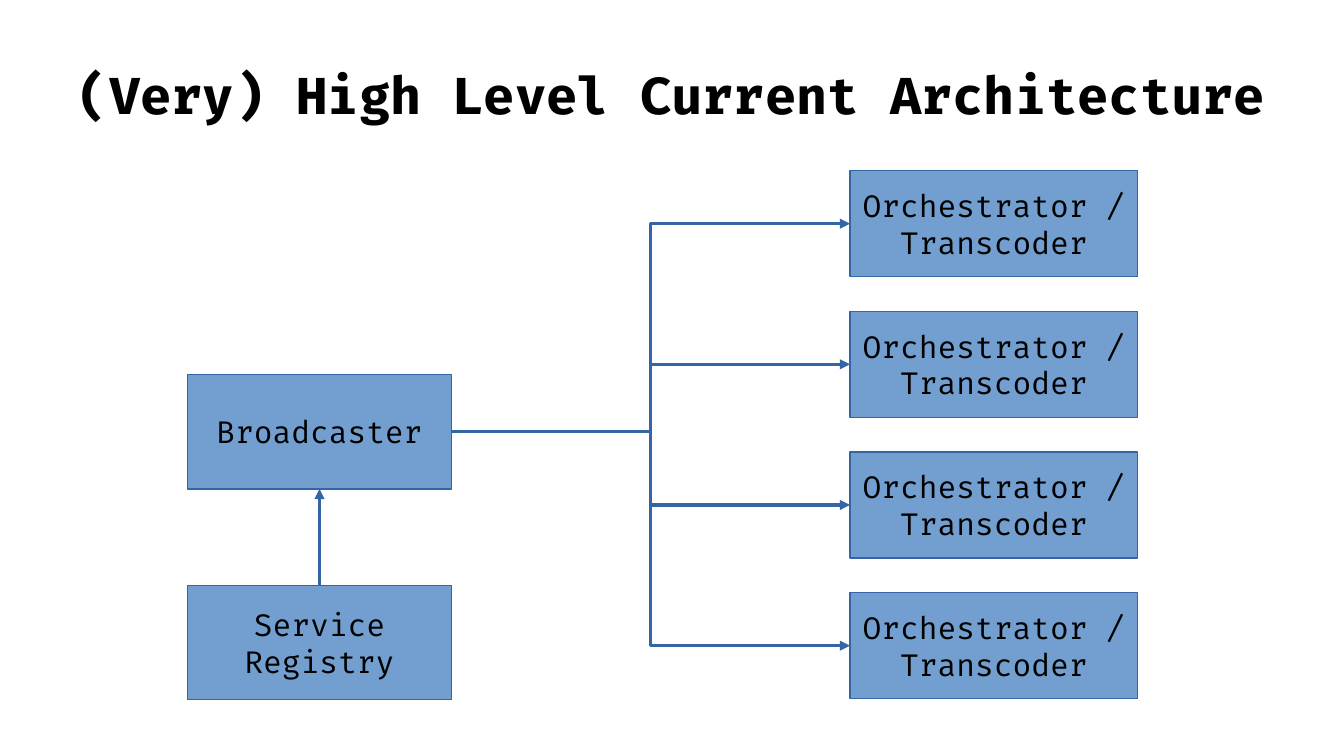
from lxml import etree
from pptx import Presentation
from pptx.dml.color import RGBColor
from pptx.enum import shapes, text
from pptx.oxml import ns
from pptx.util import Inches, Pt

FONT = "Fira Code"
BLACK = RGBColor(0x00, 0x00, 0x00)
BOX_FILL = RGBColor(0x72, 0x9F, 0xCF)
BOX_LINE = RGBColor(0x34, 0x65, 0xA4)
TOP, LEFT, BOTTOM, RIGHT = range(4)  # connection sites of a rectangle


def format_text(text_frame, size, bold=False):
    text_frame.vertical_anchor = text.MSO_ANCHOR.MIDDLE
    for paragraph in text_frame.paragraphs:
        paragraph.alignment = text.PP_ALIGN.CENTER
        for run in paragraph.runs:
            run.font.name = FONT
            run.font.size = Pt(size)
            run.font.bold = bold
            run.font.color.rgb = BLACK


def set_title(slide, wording):
    title = slide.shapes.title
    title.left, title.top = Inches(0.55), Inches(0.25)
    title.width, title.height = Inches(9.92), Inches(1.04)
    text_frame = title.text_frame
    text_frame.text = wording
    text_frame.auto_size = text.MSO_AUTO_SIZE.NONE
    text_frame.margin_left = text_frame.margin_right = 0
    text_frame.margin_top = text_frame.margin_bottom = 0
    format_text(text_frame, 30, bold=True)


def add_box(slide, wording, left, top, width, height):
    box = slide.shapes.add_shape(
        shapes.MSO_SHAPE.RECTANGLE,
        Inches(left), Inches(top), Inches(width), Inches(height))
    box.shadow.inherit = False
    box.fill.solid()
    box.fill.fore_color.rgb = BOX_FILL
    box.line.color.rgb = BOX_LINE
    box.line.width = Pt(0)
    box.text_frame.text = wording
    box.text_frame.word_wrap = False
    format_text(box.text_frame, 18)
    return box


def add_arrow(slide, kind, source, source_site, target, target_site):
    arrow = slide.shapes.add_connector(kind, 0, 0, 0, 0)
    arrow.begin_connect(source, source_site)
    arrow.end_connect(target, target_site)
    arrow.line.color.rgb = BOX_LINE
    arrow.line.width = Pt(0)
    # Arrowhead, and no shadow
    properties = arrow.line._get_or_add_ln()
    etree.SubElement(properties, ns.qn("a:tailEnd"), type="triangle")
    etree.SubElement(arrow._element.spPr, ns.qn("a:effectLst"))


def main():
    presentation = Presentation()
    presentation.slide_width = Inches(11.02)
    presentation.slide_height = Inches(6.2)
    slide = presentation.slides.add_slide(presentation.slide_layouts[5])
    set_title(slide, "(Very) High Level Current Architecture")

    # Registry feeding the broadcaster
    registry = add_box(slide, "Service\nRegistry", 1.54, 4.8, 2.16, 0.94)
    broadcaster = add_box(slide, "Broadcaster", 1.54, 3.07, 2.16, 0.94)
    add_arrow(slide, shapes.MSO_CONNECTOR.STRAIGHT,
              registry, TOP, broadcaster, BOTTOM)

    # Broadcaster fanning out to four evenly spaced orchestrators
    first_top, last_top, count = 1.4, 4.86, 4
    pitch = (last_top - first_top) / (count - 1)
    for row in range(count):
        orchestrator = add_box(slide, "Orchestrator /\nTranscoder",
                               6.97, first_top + row * pitch, 2.36, 0.87)
        add_arrow(slide, shapes.MSO_CONNECTOR.ELBOW,
                  broadcaster, RIGHT, orchestrator, LEFT)

    presentation.save("out.pptx")


if __name__ == "__main__":
    main()
